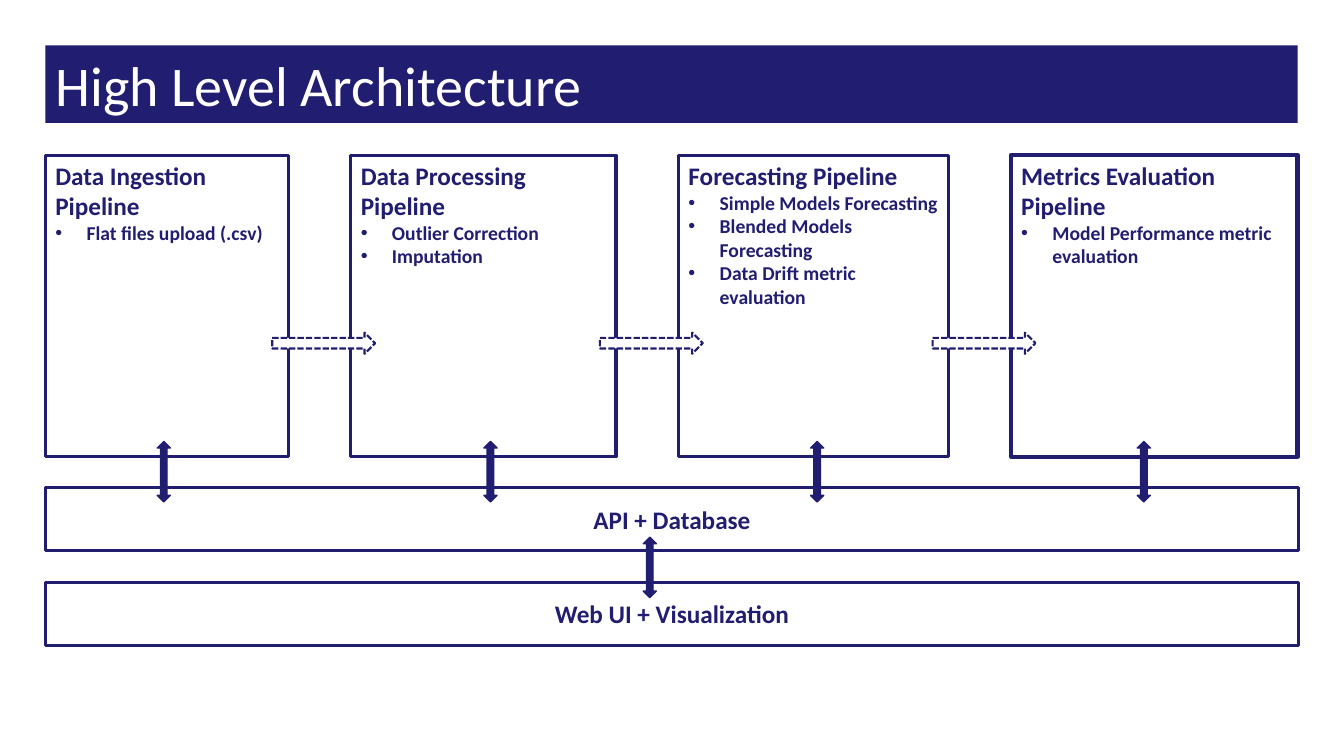
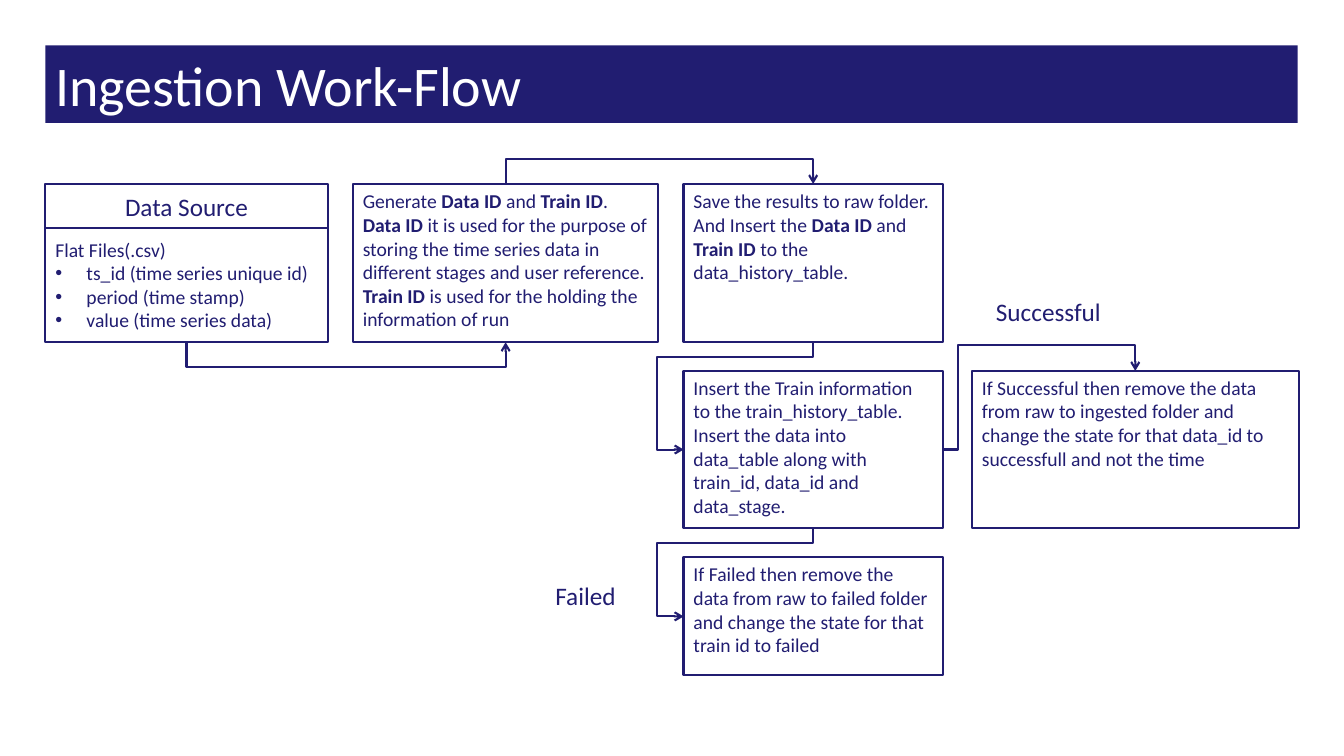
from dataclasses import dataclass

from lxml import etree
from pptx import Presentation
from pptx.dml.color import RGBColor
from pptx.enum.dml import MSO_LINE
from pptx.enum.shapes import MSO_CONNECTOR, MSO_SHAPE
from pptx.enum.text import MSO_ANCHOR, MSO_AUTO_SIZE, PP_ALIGN
from pptx.oxml.ns import qn
from pptx.util import Pt

PX = 9144
RECTANGLE = MSO_SHAPE.RECTANGLE
RIGHT_ARROW = MSO_SHAPE.RIGHT_ARROW
UP_DOWN_ARROW = MSO_SHAPE.UP_DOWN_ARROW
ELBOW = MSO_CONNECTOR.ELBOW
DASH = MSO_LINE.SQUARE_DOT
TOP, MIDDLE = MSO_ANCHOR.TOP, MSO_ANCHOR.MIDDLE
LEFT, CENTER = PP_ALIGN.LEFT, PP_ALIGN.CENTER
NO_AUTO_SIZE = MSO_AUTO_SIZE.NONE
SITE_TOP, SITE_LEFT, SITE_BOTTOM, SITE_RIGHT = range(4)
ROTATION = {SITE_TOP: 270, SITE_RIGHT: 0, SITE_BOTTOM: 90}
TITLE_ONLY = 5
BULLET = "• "


@dataclass(frozen=True)
class Theme:
    """Colours, typeface, type sizes and line widths."""

    navy: RGBColor = RGBColor(0x21, 0x1D, 0x71)
    white: RGBColor = RGBColor(0xFF, 0xFF, 0xFF)
    font: str = "Calibri"
    title: int = 40
    heading: int = 18
    body: int = 14
    thin: float = 1
    medium: float = 1.5
    thick: float = 2.25
    heavy: float = 3
    indent: int = 31


THEME = Theme()


def px(length):
    """Turn whole px into EMU."""
    return round(length * PX)


def add_bullet(paragraph):
    """Give a paragraph a hanging round bullet."""
    properties = paragraph._p.get_or_add_pPr()
    properties.set("marL", str(px(THEME.indent)))
    properties.set("indent", str(-px(THEME.indent)))
    etree.SubElement(properties, qn("a:buFont")).set("typeface", "Arial")
    etree.SubElement(properties, qn("a:buChar")).set("char", BULLET.strip())


def write(frame, *lines, size=THEME.body, first_size=None, color=THEME.navy,
          bold=False, align=LEFT, anchor=TOP, wrap=True):
    """Write lines into a frame, with ** around bold words and • before bullets."""
    frame.word_wrap = wrap
    frame.auto_size = NO_AUTO_SIZE
    frame.vertical_anchor = anchor
    for index, line in enumerate(lines):
        paragraph = frame.add_paragraph() if index else frame.paragraphs[0]
        paragraph.alignment = align
        if line.startswith(BULLET):
            add_bullet(paragraph)
        for part, words in enumerate(line.removeprefix(BULLET).split("**")):
            if not words:
                continue
            run = paragraph.add_run()
            run.text = words
            run.font.name = THEME.font
            run.font.size = Pt(size if index else first_size or size)
            run.font.bold = bold or part % 2 == 1
            run.font.color.rgb = color


class Deck:
    """Holds the presentation, its theme and the current slide."""

    def __init__(self, theme):
        """Start an empty widescreen presentation."""
        self.theme = theme
        self.presentation = Presentation()
        self.presentation.slide_width = px(1333)
        self.presentation.slide_height = px(750)
        self.slide = None

    def new_slide(self, title):
        """Add a slide with its title band."""
        layout = self.presentation.slide_layouts[TITLE_ONLY]
        self.slide = self.presentation.slides.add_slide(layout)
        band = self.slide.shapes.title
        band.left, band.top, band.width, band.height = map(px, (45, 45, 1242, 77))
        band.fill.solid()
        band.fill.fore_color.rgb = self.theme.navy
        write(band.text_frame, title, size=self.theme.title, color=self.theme.white)

    def shape(self, kind, left, top, width, height, fill=THEME.white,
              line=THEME.medium, dash=None):
        """Add a navy-outlined preset shape."""
        shape = self.slide.shapes.add_shape(kind, *map(px, (left, top, width, height)))
        shape.shadow.inherit = False
        shape.fill.solid()
        shape.fill.fore_color.rgb = fill
        shape.line.color.rgb = self.theme.navy
        shape.line.width = Pt(line)
        if dash:
            shape.line.dash_style = dash
        return shape

    def box(self, left, top, width, height, *lines, line=THEME.medium, **text_format):
        """Add an outlined box with text."""
        box = self.shape(RECTANGLE, left, top, width, height, line=line)
        write(box.text_frame, *lines, **text_format)
        return box

    def label(self, left, top, width, height, text):
        """Add a free one-line label."""
        label = self.slide.shapes.add_textbox(*map(px, (left, top, width, height)))
        write(label.text_frame, text, size=self.theme.heading, wrap=False)

    def double_arrow(self, left, top):
        """Add a solid vertical two-way arrow."""
        self.shape(UP_DOWN_ARROW, left, top, 13, 60, fill=self.theme.navy,
                   line=self.theme.thin)

    def elbow(self, start, start_site, end, end_site, leave, overshoot=0):
        """Join two boxes by a bent arrow, leaving the first by a given distance."""
        connector = self.slide.shapes.add_connector(ELBOW, 0, 0, 0, 0)
        connector.begin_connect(start, start_site)
        connector.end_connect(end, end_site)
        across = connector.end_x - connector.begin_x
        down = connector.end_y - connector.begin_y
        center_x = (connector.begin_x + connector.end_x) // 2
        center_y = (connector.begin_y + connector.end_y) // 2
        rotation = ROTATION[start_site]
        along, side = {0: (across, down), 90: (down, -across),
                       270: (-down, across)}[rotation]
        width, height = max(abs(along), px(1)), max(abs(side), px(1))
        connector.left, connector.top = center_x - width // 2, center_y - height // 2
        connector.width, connector.height = width, height

        properties = connector._element.spPr
        transform = properties.find(qn("a:xfrm"))
        transform.set("rot", str(rotation * 60000))
        transform.set("flipH", "0")
        transform.set("flipV", str(int(side < 0)))
        geometry = properties.find(qn("a:prstGeom"))
        geometry.set("prst", "bentConnector4" if overshoot else "bentConnector3")
        ratios = {"adj1": px(leave) / width}
        if overshoot:
            ratios["adj2"] = 1 + px(overshoot) / height
        for name, ratio in ratios.items():
            guide = etree.SubElement(geometry.find(qn("a:avLst")), qn("a:gd"))
            guide.set("name", name)
            guide.set("fmla", f"val {round(ratio * 100000)}")

        connector.line.color.rgb = self.theme.navy
        connector.line.width = Pt(self.theme.medium)
        line = properties.find(qn("a:ln"))
        etree.SubElement(line, qn("a:tailEnd")).set("type", "arrow")
        etree.SubElement(properties, qn("a:effectLst"))


def build_architecture(deck):
    """Draw the four pipelines above the two shared layers."""
    deck.new_slide("High Level Architecture")
    pipelines = [
        (241, THEME.thick, "Data Ingestion Pipeline", "• Flat files upload (.csv)"),
        (263, THEME.thick, "Data Processing Pipeline", "• Outlier Correction",
         "• Imputation"),
        (268, THEME.thick, "Forecasting Pipeline", "• Simple Models Forecasting",
         "• Blended Models Forecasting", "• Data Drift metric evaluation"),
        (284, THEME.heavy, "Metrics Evaluation Pipeline",
         "• Model Performance metric evaluation"),
    ]
    left, gap, starts = 45, 62, []
    for width, line, *lines in pipelines:
        deck.box(left, 154, width, 299, *lines, line=line, bold=True,
                 first_size=THEME.heading)
        starts.append(left)
        left += width + gap
    for top, layer in ((484, "API + Database"), (578, "Web UI + Visualization")):
        deck.box(45, top, 1243, 62, layer, line=THEME.thick, bold=True,
                 size=THEME.heading, align=CENTER, anchor=MIDDLE)
    for start in starts[1:]:
        deck.shape(RIGHT_ARROW, start - 78, 330, 102, 21, dash=DASH)
    for column in range(len(pipelines)):
        deck.double_arrow(156 + 324 * column, 438)
    deck.double_arrow(638, 533)


def build_ingestion(deck):
    """Draw the ingestion steps and the arrows between them."""
    deck.new_slide("Ingestion Work-Flow")
    step_height, step_left, step_width = 156, 678, 257
    first_row, second_row, third_row = 183, 368, 553

    fields = deck.box(45, 226, 280, 113, "Flat Files(.csv)",
                      "• ts_id (time series unique id)", "• period (time stamp)",
                      "• value (time series data)", anchor=MIDDLE)
    header = deck.box(45, first_row, 280, 43, "Data Source", size=THEME.heading,
                      align=CENTER, anchor=MIDDLE)
    deck.slide.shapes.add_group_shape([fields, header])
    generate = deck.box(
        350, first_row, 303, step_height,
        "Generate** Data ID **and **Train ID**.",
        "**Data ID** it is used for the purpose of storing the time series data in "
        "different stages and user reference. **Train ID** is used for the holding "
        "the information of run")
    save = deck.box(
        step_left, first_row, step_width, step_height,
        "Save the results to raw folder. And Insert the **Data ID** and "
        "**Train ID **to the data_history_table.")
    insert = deck.box(
        step_left, second_row, step_width, step_height,
        "Insert the Train information to the train_history_table.",
        "Insert the data into data_table along with train_id, data_id and data_stage.")
    failed = deck.box(
        step_left, third_row, step_width, 117,
        "If Failed then remove the data from raw to failed folder and change the "
        "state for that train id to failed")
    successful = deck.box(
        964, second_row, 324, step_height,
        "If Successful then remove the data from raw to ingested folder and change "
        "the state for that data_id to successfull and not the time")

    deck.elbow(fields, SITE_BOTTOM, generate, SITE_BOTTOM, 26)
    deck.elbow(generate, SITE_TOP, save, SITE_TOP, 26)
    deck.elbow(save, SITE_BOTTOM, insert, SITE_LEFT, 15, overshoot=26)
    deck.elbow(insert, SITE_RIGHT, successful, SITE_TOP, 15, overshoot=26)
    deck.elbow(insert, SITE_BOTTOM, failed, SITE_LEFT, 15, overshoot=26)
    deck.label(978, 289, 124, 40, "Successful")
    deck.label(541, 571, 80, 40, "Failed")


def main():
    """Build both slides and save them."""
    deck = Deck(THEME)
    build_architecture(deck)
    build_ingestion(deck)
    deck.presentation.save("out.pptx")


if __name__ == "__main__":
    main()
